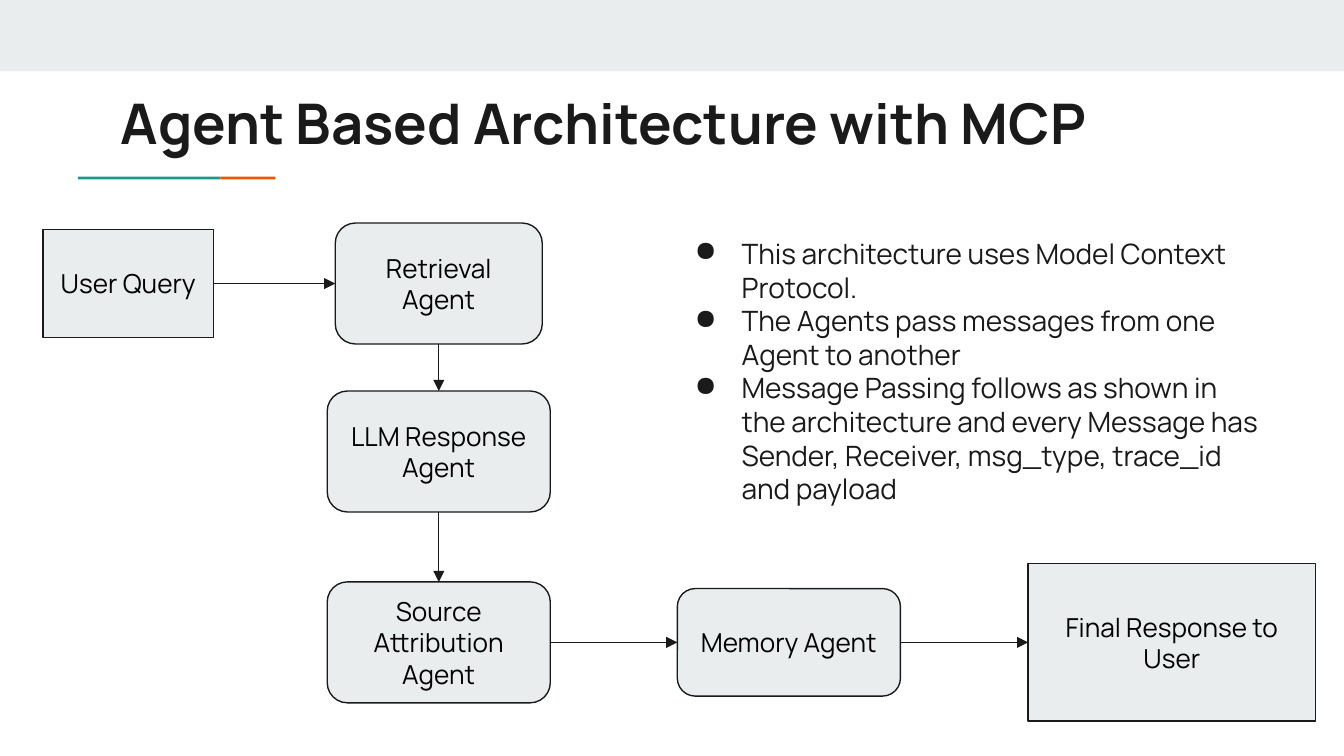
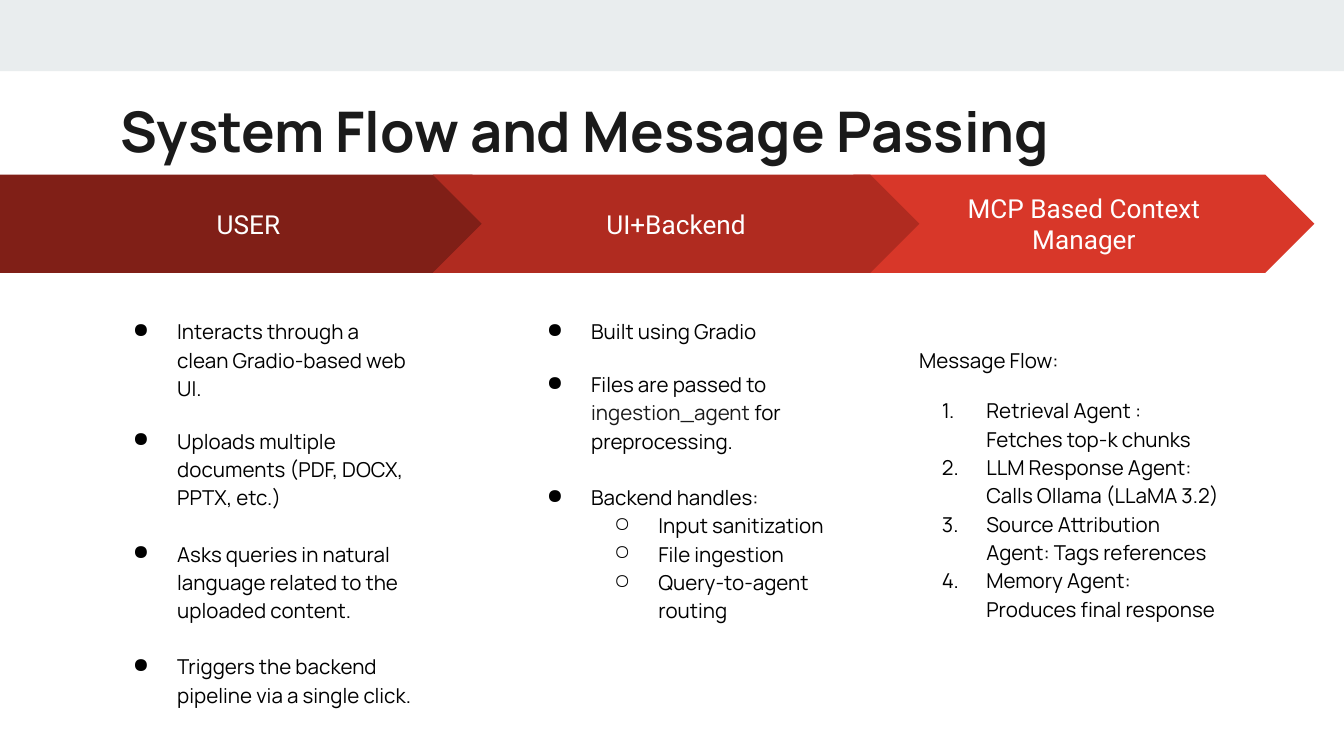
"""Builds two slides on an agent architecture and its message flow."""
from dataclasses import dataclass
from typing import Sequence

from lxml import etree
from pptx import Presentation
from pptx import util as u
from pptx.dml.color import RGBColor
from pptx.enum import shapes, text
from pptx.oxml import ns

CELL = u.Inches(0.1)
COLS, ROWS = 100, 56.25
KIND = shapes.MSO_SHAPE
ALIGN = text.PP_ALIGN
MID = text.MSO_ANCHOR.MIDDLE
TOP, LEFT, BASE, RIGHT = range(4)


@dataclass(frozen=True)
class Theme:
    """Colours, fonts and type sizes of the deck."""
    ink: str = "1A1A1A"
    black: str = "000000"
    white: str = "FFFFFF"
    pale: str = "E9EDEE"
    teal: str = "1A9988"
    flame: str = "EB5600"
    reds: tuple[str, ...] = ("801F17", "B02B20", "D83729")
    body: str = "Manrope"
    label: str = "Roboto"
    head: float = 30
    lead: float = 15
    node: float = 14
    note: float = 11
    rule: float = 0.75


@dataclass(frozen=True)
class Box:
    """A place on the grid, in columns and rows."""
    col: float
    row: float
    cols: float
    rows: float

    def emu(self) -> list[int]:
        """Return left, top, width and height in EMU."""
        return [round(n * CELL) for n in (self.col, self.row, self.cols, self.rows)]


@dataclass(frozen=True)
class Item:
    """A paragraph; parts between backticks take the ink colour."""
    words: str
    mark: str = ""
    gap: float = 0
    level: int = 0


@dataclass(frozen=True)
class Node:
    """A step of the diagram, placed by its centre."""
    name: str
    col: float
    row: float
    cols: float
    rows: float
    kind: shapes.MSO_SHAPE = KIND.FLOWCHART_ALTERNATE_PROCESS

    def box(self) -> Box:
        """Return the grid place around the centre."""
        return Box(self.col - self.cols / 2, self.row - self.rows / 2, self.cols, self.rows)


@dataclass(frozen=True)
class Link:
    """An arrow between the sides of two nodes."""
    start: str
    out: int
    end: str
    into: int


@dataclass(frozen=True)
class Stage:
    """A band arrow with the text column below it."""
    name: str
    kind: shapes.MSO_SHAPE
    col: float
    cols: float
    left: float
    items: tuple[Item, ...]
    drop: float = 0


LOOK = Theme()
DOT, RING, NUM = "●", "○", "1."

NODES = (
    Node("User Query", 9.55, 21.1, 12.7, 8, KIND.FLOWCHART_PROCESS),
    Node("Retrieval Agent", 32.65, 21.1, 15.4, 9),
    Node("LLM Response Agent", 32.65, 33.6, 16.6, 9),
    Node("Source Attribution Agent", 32.65, 47.8, 16.6, 9),
    Node("Memory Agent", 58.7, 47.8, 16.6, 8),
    Node("Final Response to User", 87.2, 47.8, 21.4, 11.7, KIND.FLOWCHART_PROCESS),
)
TURNS = ((RIGHT, LEFT), (BASE, TOP), (BASE, TOP), (RIGHT, LEFT), (RIGHT, LEFT))
LINKS = [Link(a.name, out, b.name, into)
         for a, b, (out, into) in zip(NODES, NODES[1:], TURNS)]

POINTS = (
    Item("This architecture uses Model Context Protocol.", DOT),
    Item("The Agents pass messages from one Agent to another", DOT),
    Item("Message Passing follows as shown in the architecture and every Message has "
         "Sender, Receiver, msg_type, trace_id and payload", DOT),
)

STAGES = (
    Stage("MCP Based Context Manager", KIND.CHEVRON, 63.5, 34.3, 67.4, (
        Item("Message Flow:"),
        Item("Retrieval Agent : Fetches top-k chunks", NUM, 12),
        Item("LLM Response Agent: Calls Ollama (LLaMA 3.2)", NUM),
        Item("Source Attribution Agent: Tags references", NUM),
        Item("Memory Agent:  Produces final response", NUM),
    ), 2.1),
    Stage("USER", KIND.PENTAGON, 0, 38.8, 7.2, (
        Item("Interacts through a clean Gradio-based web UI.", DOT),
        Item("Uploads multiple documents (PDF, DOCX, PPTX, etc.)", DOT, 13),
        Item("Asks queries in natural language related to the uploaded content.", DOT, 15),
        Item("Triggers the backend pipeline via a single click.", DOT, 15),
    )),
    Stage("UI+Backend", KIND.CHEVRON, 32.2, 36.2, 38, (
        Item("Built using Gradio", DOT),
        Item("Files are passed to `ingestion_agent` for preprocessing.", DOT, 13),
        Item("Backend handles:", DOT, 15),
        Item("Input sanitization", RING, level=1),
        Item("File ingestion", RING, level=1),
        Item("Query-to-agent routing", RING, level=1),
    )),
)


def rgb(code: str) -> RGBColor:
    """Turn a hex code into a colour."""
    return RGBColor.from_string(code)


def add(parent, tag: str, **attrs: str):
    """Append a drawing element and return it."""
    return etree.SubElement(parent, ns.qn(tag), attrs)


def bullet(para, item: Item, color: str, hang: float) -> None:
    """Give a paragraph its hanging mark."""
    props = para._p.get_or_add_pPr()
    props.set("marL", str(u.Inches(0.5 * (item.level + 1))))
    props.set("indent", str(-u.Inches(hang)))
    add(add(props, "a:buClr"), "a:srgbClr", val=color)
    if item.mark == NUM:
        add(props, "a:buAutoNum", type="arabicPeriod")
    else:
        add(props, "a:buChar", char=item.mark)


def write(shape, items: Sequence[Item], *, size: float, color: str,
          font: str = LOOK.body, bold: bool = False, align=ALIGN.LEFT,
          anchor=text.MSO_ANCHOR.TOP, space: float = 1, drop: float = 0,
          hang: float = 0.33) -> None:
    """Fill a shape with formatted paragraphs."""
    frame = shape.text_frame
    frame.word_wrap = True
    frame.vertical_anchor = anchor
    frame.margin_left = frame.margin_right = frame.margin_bottom = CELL
    frame.margin_top = round((1 + drop) * CELL)
    for i, item in enumerate(items):
        para = frame.add_paragraph() if i else frame.paragraphs[0]
        if item.mark:
            bullet(para, item, color, hang)
        para.level = item.level
        para.alignment = align
        para.line_spacing = space
        para.space_before = u.Pt(item.gap)
        for j, part in enumerate(item.words.split("`")):
            run = para.add_run()
            run.text = part
            run.font.size, run.font.name, run.font.bold = u.Pt(size), font, bold
            run.font.color.rgb = rgb(LOOK.ink if j % 2 else color)


def block(slide, kind: shapes.MSO_SHAPE, box: Box, fill: str, line: str = ""):
    """Draw a filled shape, outlined if a line colour is given."""
    shape = slide.shapes.add_shape(kind, *box.emu())
    shape.shadow.inherit = False
    shape.fill.solid()
    shape.fill.fore_color.rgb = rgb(fill)
    if line:
        shape.line.color.rgb = rgb(line)
        shape.line.width = u.Pt(LOOK.rule)
    else:
        shape.line.fill.background()
    return shape


def label(slide, box: Box, items: Sequence[Item], **style) -> None:
    """Place a text box."""
    write(slide.shapes.add_textbox(*box.emu()), items, **style)


def arrow(slide, link: Link, made: dict) -> None:
    """Join two drawn nodes with an arrow."""
    line = slide.shapes.add_connector(shapes.MSO_CONNECTOR.STRAIGHT, 0, 0, 0, 0)
    line.begin_connect(made[link.start], link.out)
    line.end_connect(made[link.end], link.into)
    line.line.color.rgb = rgb(LOOK.ink)
    line.line.width = u.Pt(LOOK.rule)
    add(line.line._get_or_add_ln(), "a:tailEnd", type="triangle")
    add(line._element.spPr, "a:effectLst")


def base(deck, title: str, row: float):
    """Start a slide with the top band and a title."""
    slide = deck.slides.add_slide(deck.slide_layouts[6])
    block(slide, KIND.RECTANGLE, Box(0, 0, COLS, 5.3), LOOK.pale)
    label(slide, Box(8, row, 84.1, 5.9), [Item(title)],
          size=LOOK.head, color=LOOK.ink, bold=True)
    return slide


def agents(deck) -> None:
    """Draw the architecture slide."""
    slide = base(deck, "Agent Based Architecture with MCP", 5.6)
    block(slide, KIND.RECTANGLE, Box(5.8, 13.15, 10.6, 0.2), LOOK.teal)
    block(slide, KIND.RECTANGLE, Box(16.4, 13.15, 4.1, 0.2), LOOK.flame)
    made = {}
    for node in NODES:
        made[node.name] = block(slide, node.kind, node.box(), LOOK.pale, LOOK.ink)
        write(made[node.name], [Item(node.name)], size=LOOK.node,
              color=LOOK.black, align=ALIGN.CENTER, anchor=MID)
    for link in LINKS:
        arrow(slide, link, made)
    label(slide, Box(49.2, 16.6, 46, 21.6), POINTS,
          size=LOOK.lead, color=LOOK.ink, hang=0.35)


def flow(deck) -> None:
    """Draw the message flow slide."""
    slide = base(deck, "System Flow and Message Passing", 6.2)
    shades = dict(zip(sorted(s.col for s in STAGES), LOOK.reds))
    for stage in STAGES:
        band = block(slide, stage.kind, Box(stage.col, 13, stage.cols, 7.3),
                     shades[stage.col])
        write(band, [Item(stage.name)], size=LOOK.node, color=LOOK.white,
              font=LOOK.label, align=ALIGN.CENTER, anchor=MID)
        label(slide, Box(stage.left, 22.5, 24.5, 28.6), stage.items,
              size=LOOK.note, color=LOOK.black, space=1.15, drop=stage.drop)


def main() -> None:
    """Build and save the deck."""
    deck = Presentation()
    deck.slide_width, deck.slide_height = COLS * CELL, round(ROWS * CELL)
    agents(deck)
    flow(deck)
    deck.save("out.pptx")


if __name__ == "__main__":
    main()
